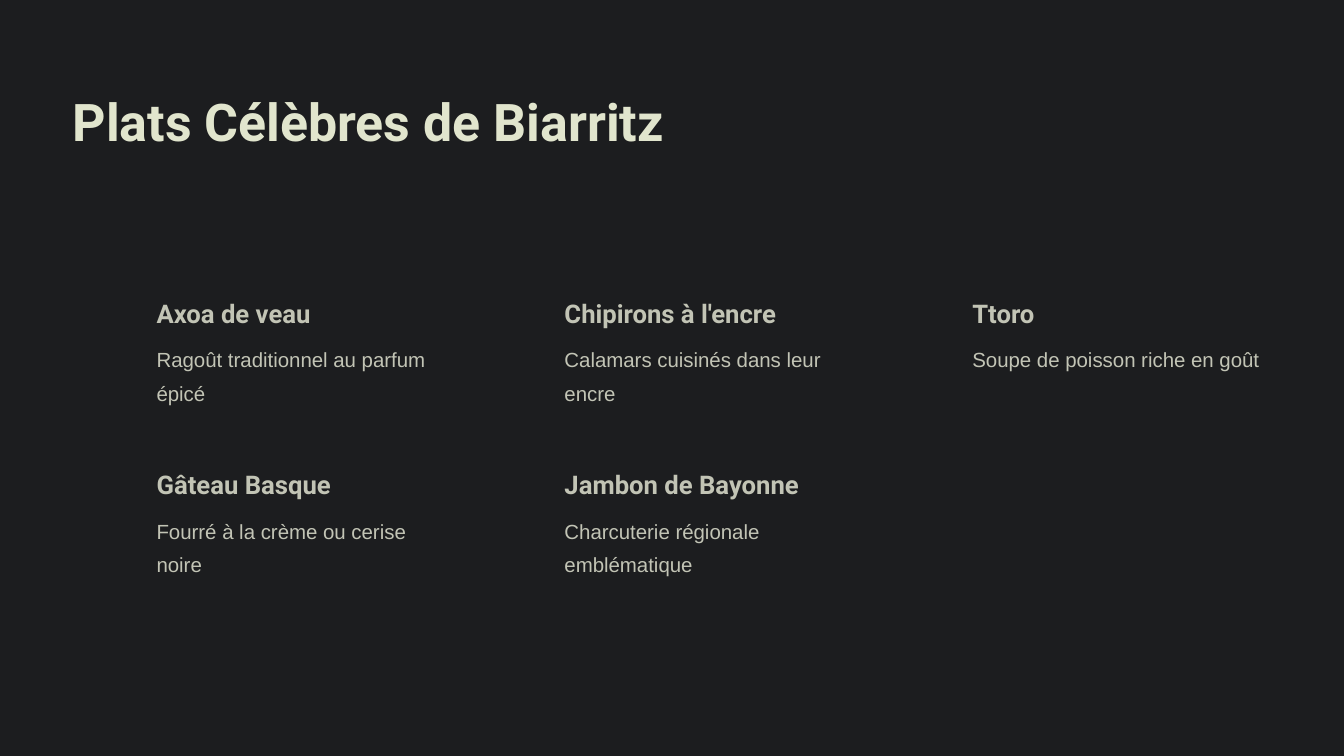
from pptx import Presentation
from pptx.dml.color import RGBColor
from pptx.enum.shapes import MSO_SHAPE
from pptx.enum.text import MSO_ANCHOR, MSO_AUTO_SIZE, PP_ALIGN
from pptx.util import Inches, Pt

RECTANGLE = MSO_SHAPE.RECTANGLE
TOP = MSO_ANCHOR.TOP
NO_AUTOFIT = MSO_AUTO_SIZE.NONE
LEFT = PP_ALIGN.LEFT

BACKGROUND = "0B1012"
PANEL_COLOR = "1C1D1F"
TITLE_COLOR = "E1E5CD"
TEXT_COLOR = "C2C4B5"

DISHES = [
    ("Axoa de veau", "Ragoût traditionnel au parfum épicé"),
    ("Chipirons à l'encre", "Calamars cuisinés dans leur encre"),
    ("Ttoro", "Soupe de poisson riche en goût"),
    ("Gâteau Basque", "Fourré à la crème ou cerise noire"),
    ("Jambon de Bayonne", "Charcuterie régionale emblématique"),
]
COLUMNS = 3
GRID_LEFT, GRID_TOP = 2.33, 4.41
COLUMN_STEP, ROW_STEP = 6.07, 2.55
DESCRIPTION_OFFSET = 0.63


def rgb(value):
    return RGBColor.from_string(value)


def write_text(box, text, font_name, size, line_spacing, color, bold):
    frame = box.text_frame
    frame.text = text
    frame.word_wrap = True
    frame.auto_size = NO_AUTOFIT
    frame.vertical_anchor = TOP
    frame.margin_left = frame.margin_right = 0
    frame.margin_top = frame.margin_bottom = 0
    para = frame.paragraphs[0]
    para.alignment = LEFT
    para.line_spacing = Pt(line_spacing)
    font = para.runs[0].font
    font.name = font_name
    font.size = Pt(size)
    font.bold = bold
    font.color.rgb = rgb(color)


deck = Presentation()
deck.slide_width = Inches(20)
deck.slide_height = Inches(11.25)
page = deck.slides.add_slide(deck.slide_layouts[5])
title = page.shapes.title

# Dark background and the full-size panel, placed behind the title
page.background.fill.solid()
page.background.fill.fore_color.rgb = rgb(BACKGROUND)
panel = page.shapes.add_shape(RECTANGLE, 0, 0, deck.slide_width, deck.slide_height)
panel.shadow.inherit = False
panel.fill.solid()
panel.fill.fore_color.rgb = rgb(PANEL_COLOR)
panel.line.fill.background()
title.element.addprevious(panel.element)

# Title
title.left, title.top = Inches(1.08), Inches(1.29)
title.width, title.height = Inches(8.96), Inches(1.02)
write_text(title, "Plats Célèbres de Biarritz", "Roboto", 55.6, 69.4, TITLE_COLOR, True)

# Grid of dishes: name above description
for index, (name, description) in enumerate(DISHES):
    row, column = divmod(index, COLUMNS)
    left = Inches(GRID_LEFT + column * COLUMN_STEP)
    top = Inches(GRID_TOP + row * ROW_STEP)

    name_box = page.shapes.add_textbox(left, top, Inches(3.88), Inches(0.52))
    write_text(name_box, name, "Roboto", 27.5, 34.4, TEXT_COLOR, True)

    description_box = page.shapes.add_textbox(
        left, top + Inches(DESCRIPTION_OFFSET), Inches(4.44), Inches(1.07))
    write_text(description_box, description, "Arial", 21.85, 35.6, TEXT_COLOR, False)

deck.save("out.pptx")
